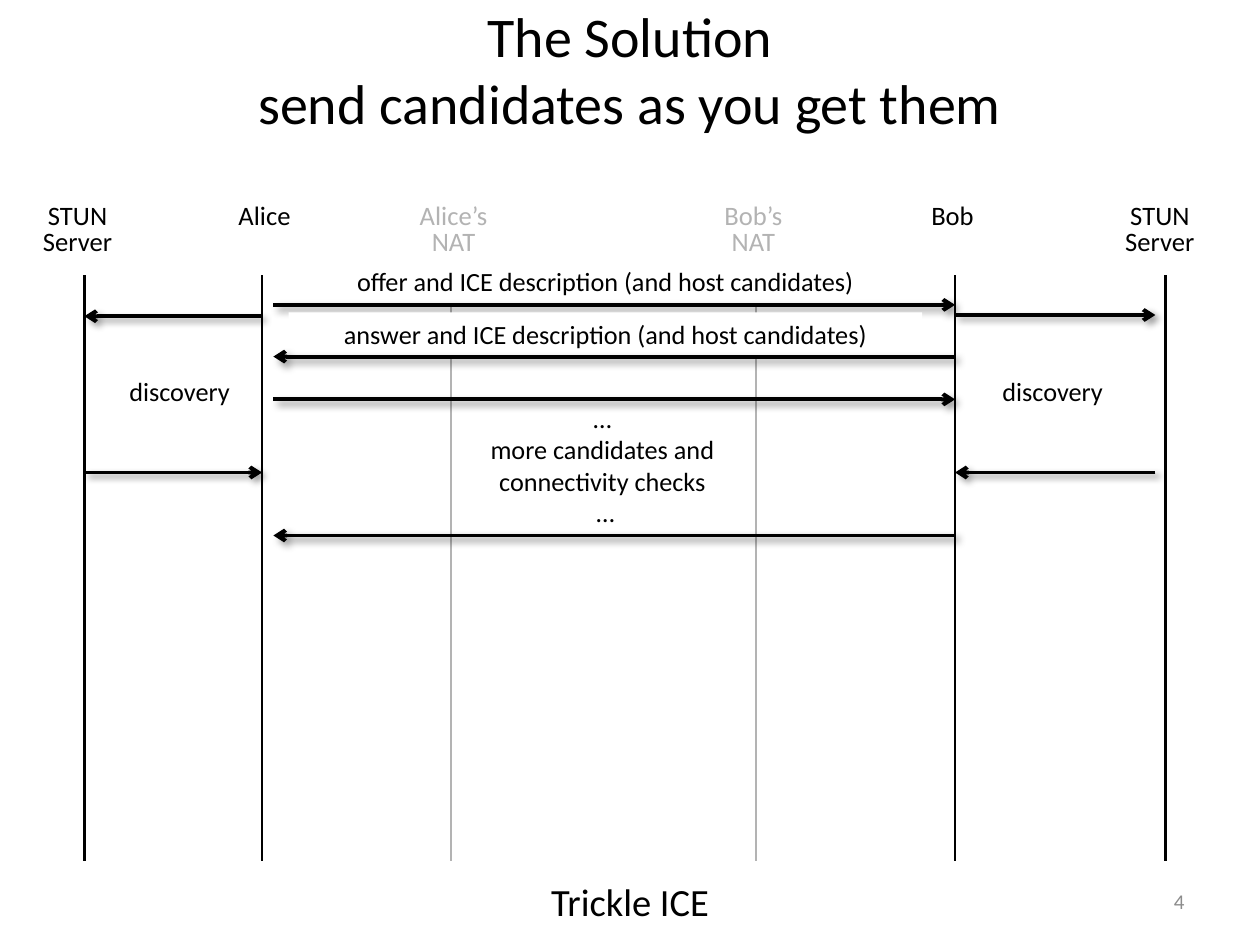
from typing import NamedTuple

from lxml.etree import SubElement
from pptx import Presentation
from pptx.dml.color import RGBColor
from pptx.enum.shapes import MSO_CONNECTOR, MSO_SHAPE
from pptx.enum.text import MSO_ANCHOR, PP_ALIGN
from pptx.oxml.ns import qn
from pptx.util import Inches, Pt

BLACK = RGBColor(0, 0, 0)
WHITE = RGBColor(255, 255, 255)
GREY = RGBColor(0x8C, 0x8C, 0x8C)
FONT = "Calibri"


class Party(NamedTuple):
    name: str
    left: float    # left edge of the heading
    line: float    # x of the lifeline
    tall: float = 0.5


class Arrow(NamedTuple):
    start: float
    end: float
    y: float


class Label(NamedTuple):
    text: str
    left: float
    top: float
    width: float
    height: float = 0.35
    size: float = 15
    fill: RGBColor | None = None
    color: RGBColor = BLACK
    align: PP_ALIGN = PP_ALIGN.CENTER
    anchor: MSO_ANCHOR = MSO_ANCHOR.TOP
    space: float = 1.0


TOP, FOOT = 2.18, 6.83
ALICE, BOB = 2.08, 7.58
STUN_A, STUN_B = 0.67, 9.17
NEAR = 2.17    # where messages meet Alice's side

NATS = [
    Party("Alice’s\vNAT", 3.08, 3.58),
    Party("Bob’s\vNAT", 5.46, 6),
]
PEERS = [
    Party("STUN \vServer ", 0.12, STUN_A),
    Party("Alice", 1.58, ALICE, 0.33),
    Party("Bob", 7.04, BOB, 0.33),
    Party("STUN \vServer ", 8.71, 9.25),
]
TITLES = [
    Label("The Solution\vsend candidates as you get them", 0.5, -0.08, 9, 1.25,
          32, anchor=MSO_ANCHOR.MIDDLE),
    Label("4", 7.17, 6.95, 2.33, 0.4, 12, color=GREY, align=PP_ALIGN.RIGHT,
          anchor=MSO_ANCHOR.MIDDLE),
    Label("Trickle ICE", 1.96, 6.92, 6.08, 0.58, 22, WHITE),
]
# Each step is a label or an arrow, from back to front
STEPS = [
    Arrow(ALICE, STUN_A, 2.51),
    Label("discovery", 0.79, 2.93, 1.27),
    Arrow(STUN_A, ALICE, 3.75),
    Arrow(BOB, STUN_B, 2.5),
    Label("discovery", 7.59, 2.93, 1.53),
    Arrow(STUN_B, BOB, 3.75),
    Label("offer and ICE description (and host candidates)",
          2.29, 2.06, 5.03, fill=WHITE),
    Arrow(NEAR, BOB, 2.42),
    Label("answer and ICE description (and host candidates)",
          2.29, 2.48, 5.03, fill=WHITE),
    Arrow(BOB, NEAR, 2.83),
    Arrow(NEAR, BOB, 3.17),
    Label("… \vmore candidates and \vconnectivity checks \v…",
          2.19, 3.14, 5.23, 1.11),
    Arrow(BOB, NEAR, 4.25),
]


def add_label(shapes, item: Label) -> None:
    box = shapes.add_textbox(Inches(item.left), Inches(item.top),
                             Inches(item.width), Inches(item.height))
    if item.fill is not None:
        box.fill.solid()
        box.fill.fore_color.rgb = item.fill
    frame = box.text_frame
    frame.word_wrap = True
    frame.vertical_anchor = item.anchor
    para = frame.paragraphs[0]
    para.text = item.text
    para.alignment = item.align
    para.line_spacing = item.space
    for run in para.runs:
        run.font.name = FONT
        run.font.size = Pt(item.size)
        run.font.color.rgb = item.color


def add_line(shapes, x1: float, y1: float, x2: float, y2: float,
             width: float):
    """Draw a black line; return it with its empty effect list."""
    line = shapes.add_connector(MSO_CONNECTOR.STRAIGHT, Inches(x1),
                                Inches(y1), Inches(x2), Inches(y2))
    line.line.color.rgb = BLACK
    line.line.width = Pt(width)
    return line, SubElement(line._element.spPr, qn("a:effectLst"))


def add_arrow(shapes, item: Arrow) -> None:
    line, effects = add_line(shapes, item.start, item.y, item.end, item.y,
                             2.25)
    SubElement(line.line._get_or_add_ln(), qn("a:tailEnd"), type="arrow")
    shade = SubElement(effects, qn("a:outerShdw"), blurRad=str(Pt(4)),
                       dist=str(Pt(3)), dir="2700000", rotWithShape="0")
    color = SubElement(shade, qn("a:srgbClr"), val=str(BLACK))
    SubElement(color, qn("a:alpha"), val="40000")


def add_party(shapes, item: Party) -> None:
    add_label(shapes, Label(item.name, item.left, 1.58, 1.04, item.tall,
                            15.2, space=0.8))
    add_line(shapes, item.line, FOOT, item.line, TOP, 1.5)


def add_veil(shapes) -> None:
    veil = shapes.add_shape(MSO_SHAPE.RECTANGLE, Inches(2.62), Inches(1.08),
                            Inches(4.13), Inches(5.83))
    veil.shadow.inherit = False
    veil.line.fill.background()
    veil.fill.solid()
    veil.fill.fore_color.rgb = WHITE
    color = veil._element.spPr.find(qn("a:solidFill"))[0]
    SubElement(color, qn("a:alpha"), val="70000")


def main() -> None:
    deck = Presentation()
    deck.slide_width, deck.slide_height = Inches(10), Inches(7.5)
    shapes = deck.slides.add_slide(deck.slide_layouts[6]).shapes

    # NATs, dimmed by a translucent veil
    for party in NATS:
        add_party(shapes, party)
    add_veil(shapes)

    # Title, page number, caption and peers
    for label in TITLES:
        add_label(shapes, label)
    for party in PEERS:
        add_party(shapes, party)

    # Message flow
    for step in STEPS:
        if isinstance(step, Arrow):
            add_arrow(shapes, step)
        else:
            add_label(shapes, step)

    deck.save("out.pptx")


if __name__ == "__main__":
    main()
